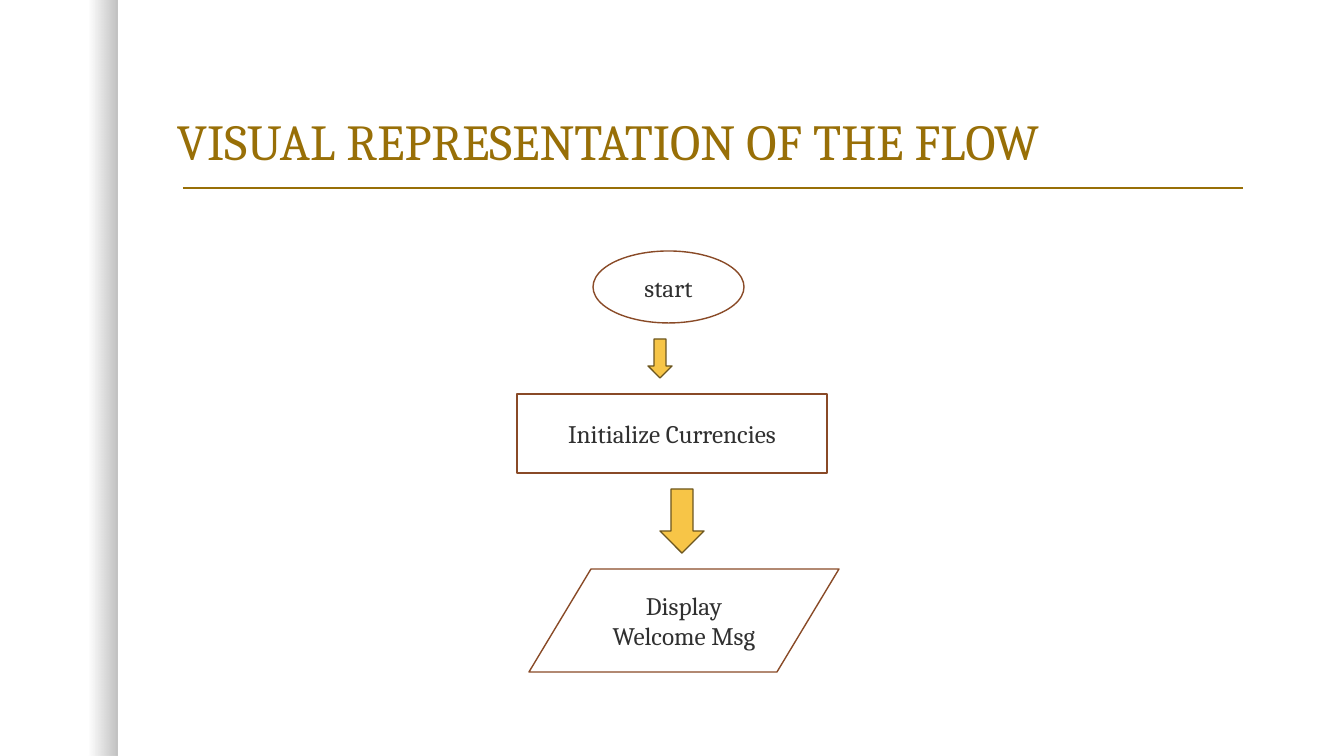
from lxml.etree import SubElement
from pptx import Presentation
from pptx.dml.color import RGBColor
from pptx.enum.shapes import MSO_CONNECTOR as Connector, MSO_SHAPE as Shape
from pptx.enum.text import MSO_ANCHOR as Anchor, PP_ALIGN as Align
from pptx.oxml.ns import qn
from pptx.util import Pt

PX = 914400 / 100.8
PAGE_WIDTH, PAGE_HEIGHT = 1344, 756
GOLD, YELLOW, OLIVE = "986F07", "F7C547", "6C561F"
BROWN, INK, WHITE, BLACK = "894A27", "303030", "FFFFFF", "000000"
FONT = "Cambria"
STEP_GAP = 16

# shape, left, width, height, text; None as text marks an arrow
FLOW_STEPS = [
    (Shape.OVAL, 593, 151, 72, "start"),
    (Shape.DOWN_ARROW, 648, 24, 39, None),
    (Shape.RECTANGLE, 517, 310, 79, "Initialize Currencies"),
    (Shape.DOWN_ARROW, 660, 44, 64, None),
    (Shape.FLOWCHART_DATA, 529, 310, 103, "Display Welcome Msg"),
]


def px(*lengths):
    return [round(length * PX) for length in lengths]


def color(code):
    return RGBColor.from_string(code)


def write(shape, text, size=18, ink=INK, align=Align.CENTER,
          anchor=Anchor.MIDDLE, spacing=1.0):
    frame = shape.text_frame
    frame.word_wrap = True
    frame.vertical_anchor = anchor
    para = frame.paragraphs[0]
    para.alignment = align
    para.line_spacing = spacing
    span = para.add_run()
    span.text = text
    span.font.name = FONT
    span.font.size = Pt(size)
    span.font.color.rgb = color(ink)


def add_block(page, kind, box, fill, line):
    block = page.shapes.add_shape(kind, *px(*box))
    block.shadow.inherit = False
    block.fill.solid()
    block.fill.fore_color.rgb = color(fill)
    block.line.color.rgb = color(line)
    block.line.width = Pt(1)
    return block


def add_side_shade(page, box):
    """Draw a band that darkens from clear towards its right edge."""
    band = page.shapes.add_shape(Shape.RECTANGLE, *px(*box))
    band.shadow.inherit = False
    band.line.fill.background()
    band.fill.gradient()
    band.fill.gradient_angle = 0
    for stop, position, opacity in zip(band.fill.gradient_stops, (0.75, 1), (0, 25)):
        stop.position = position
        stop.color.rgb = color(BLACK)
    shades = band.element.spPr.iter(qn("a:srgbClr"))
    for shade, opacity in zip(shades, (0, 25)):
        SubElement(shade, qn("a:alpha"), val=str(opacity * 1000))


def add_heading(page, box):
    left, top, width, height = box
    title = page.shapes.add_textbox(*px(*box))
    write(title, "VISUAL REPRESENTATION OF THE FLOW", size=36, ink=GOLD,
          align=Align.LEFT, anchor=Anchor.BOTTOM, spacing=0.9)
    rule_top = top + height + 12
    rule = page.shapes.add_connector(
        Connector.STRAIGHT, *px(left + 16, rule_top, left + width - 8, rule_top))
    rule.line.color.rgb = color(GOLD)
    rule.line.width = Pt(1)
    SubElement(rule.element.spPr, qn("a:effectLst"))


def add_flow(page, top):
    """Stack the steps downwards with equal gaps."""
    for kind, left, width, height, text in FLOW_STEPS:
        box = (left, top, width, height)
        if text is None:
            add_block(page, kind, box, YELLOW, OLIVE)
        else:
            write(add_block(page, kind, box, WHITE, BROWN), text)
        top += height + STEP_GAP


def main():
    deck = Presentation()
    deck.slide_width, deck.slide_height = px(PAGE_WIDTH, PAGE_HEIGHT)
    page = deck.slides.add_slide(deck.slide_layouts[6])
    add_side_shade(page, (0, 0, 117, PAGE_HEIGHT))
    add_heading(page, (167, 42, 1084, 134))
    add_flow(page, top=251)
    deck.save("out.pptx")


if __name__ == "__main__":
    main()
